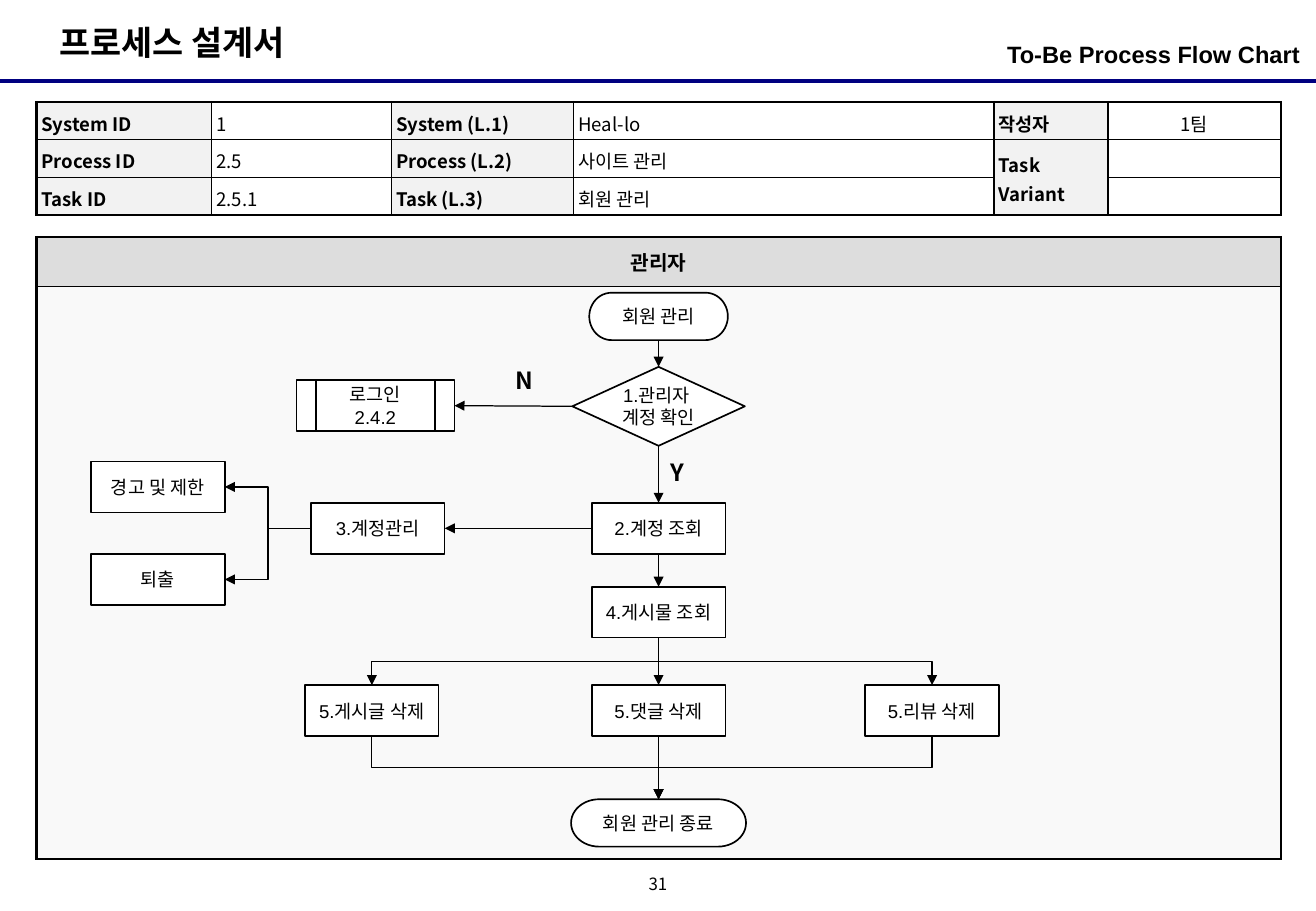
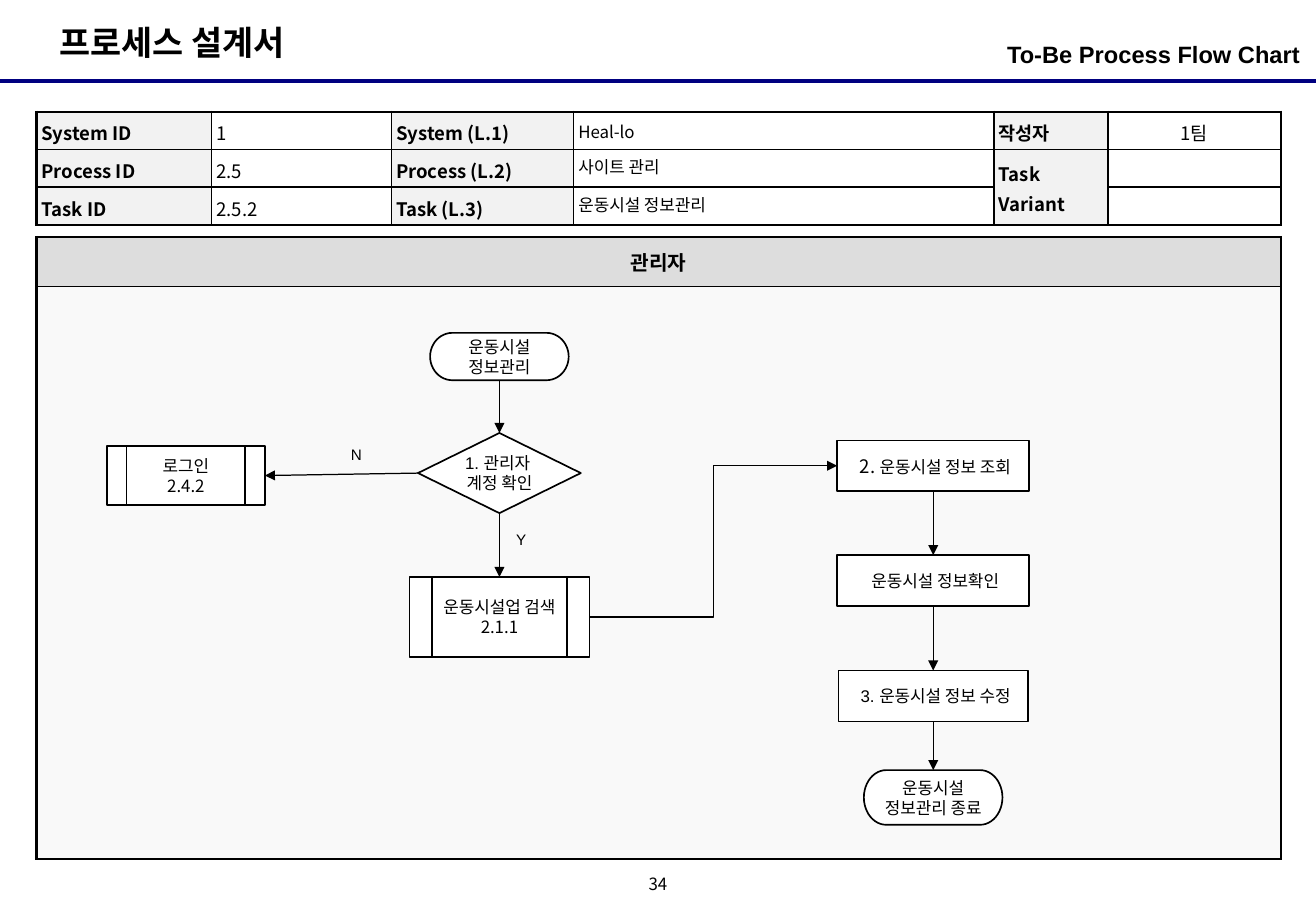
from lxml import etree
from pptx import Presentation
from pptx.dml.color import RGBColor
from pptx.enum.shapes import MSO_CONNECTOR, MSO_SHAPE
from pptx.enum.text import MSO_ANCHOR, MSO_AUTO_SIZE, PP_ALIGN
from pptx.oxml.ns import qn
from pptx.util import Inches, Pt

LEFT, CENTER, RIGHT = PP_ALIGN.LEFT, PP_ALIGN.CENTER, PP_ALIGN.RIGHT
ANCHOR_TOP, ANCHOR_MIDDLE = MSO_ANCHOR.TOP, MSO_ANCHOR.MIDDLE
STRAIGHT, ELBOW = MSO_CONNECTOR.STRAIGHT, MSO_CONNECTOR.ELBOW
TERMINAL = MSO_SHAPE.FLOWCHART_TERMINATOR
DECISION = MSO_SHAPE.FLOWCHART_DECISION
SUBPROCESS = MSO_SHAPE.FLOWCHART_PREDEFINED_PROCESS
TASK = MSO_SHAPE.RECTANGLE
TOP, WEST, BOTTOM, EAST = 0, 1, 2, 3

COLORS = {"ink": "000000", "paper": "FFFFFF", "rule": "000080",
          "label": "F2F2F2", "lane": "DDDDDD", "canvas": "F9F9F9"}
RGB = {role: RGBColor.from_string(value) for role, value in COLORS.items()}
KOREAN, LATIN = "Noto Sans CJK KR", "Arial"
COLUMNS, ROWS = 108.3, 75
MARGIN, CONTENT = 3, 102.4
INFO_COLUMNS = [14.4, 14.8, 15, 34.6, 9.4, 14.2]
INFO_ROW = 3.1
LANE_ROWS = [4.1, 47.1]


def grid(*cells):
    return [Inches(cell / 10) for cell in cells]


def write(frame, lines, size, face=KOREAN, bold=False, align=LEFT):
    for index, line in enumerate(lines):
        paragraph = frame.add_paragraph() if index else frame.paragraphs[0]
        paragraph.alignment = align
        for text, run_size in [(line, size)] if isinstance(line, str) else line:
            run = paragraph.add_run()
            run.text = text
            run.font.size = Pt(run_size)
            run.font.bold = bold
            run.font.name = face
            run.font.color.rgb = RGB["ink"]
            etree.SubElement(run.font._element, qn("a:ea"), typeface=KOREAN)


MAIN, ACCESS = 54.2, 41.1
DETAIL = 76.8
charts = [
    {
        "page": "31", "info_top": 8.4, "task": "2.5.1", "name": "회원 관리",
        "name_size": 11,
        "steps": {
            "start": (TERMINAL, MAIN, 26.05, 11.4, 3.9, ["회원 관리"], 11, LATIN),
            "end": (TERMINAL, MAIN, 67.75, 14.4, 3.9, ["회원 관리 종료"], 11, LATIN),
            "login": (SUBPROCESS, 30.9, 33.4, 13, 4.2, ["로그인", "2.4.2"], 11, LATIN),
            "check": (DECISION, MAIN, 33.45, 14.2, 6.5, ["1.관리자 ", "계정 확인"], 11, LATIN),
            "accounts": (TASK, MAIN, 43.5, 11, 4.2, ["2.계정 조회"], 11, LATIN),
            "manage": (TASK, 31.1, 43.5, 11, 4.2, ["3.계정관리"], 11, LATIN),
            "warn": (TASK, 13, 40.1, 11, 4.2, ["경고 및 제한"], 11, LATIN),
            "expel": (TASK, 13, 47.7, 11, 4.2, ["퇴출"], 11, LATIN),
            "posts": (TASK, MAIN, 50.4, 11, 4.2, ["4.게시물 조회"], 11, LATIN),
            "post": (TASK, 30.6, 58.5, 11, 4.2, ["5.게시글 삭제"], 11, LATIN),
            "comment": (TASK, MAIN, 58.5, 11, 4.2, ["5.댓글 삭제"], 11, LATIN),
            "review": (TASK, 76.7, 58.5, 11, 4.2, ["5.리뷰 삭제"], 11, LATIN),
        },
        "flows": [
            (STRAIGHT, "start", BOTTOM, "check", TOP),
            (STRAIGHT, "check", WEST, "login", EAST),
            (STRAIGHT, "check", BOTTOM, "accounts", TOP),
            (STRAIGHT, "accounts", WEST, "manage", EAST),
            (STRAIGHT, "accounts", BOTTOM, "posts", TOP),
            (STRAIGHT, "posts", BOTTOM, "comment", TOP),
            (STRAIGHT, "comment", BOTTOM, "end", TOP),
            (ELBOW, "manage", WEST, "warn", EAST),
            (ELBOW, "manage", WEST, "expel", EAST),
            (ELBOW, "posts", BOTTOM, "post", TOP),
            (ELBOW, "posts", BOTTOM, "review", TOP),
            (ELBOW, "post", BOTTOM, "end", TOP),
            (ELBOW, "review", BOTTOM, "end", TOP),
        ],
        "answers": [("N", 41.4, 29.6, 7.9, 3.4), ("Y", 54.2, 37.2, 7.9, 3.4)],
        "answer_style": (14, KOREAN, True, LEFT),
    },
    {
        "page": "34", "info_top": 9.2, "task": "2.5.2", "name": "운동시설 정보관리",
        "name_size": 10,
        "steps": {
            "start": (TERMINAL, ACCESS, 29.35, 11.4, 3.9, ["운동시설", "정보관리"], 10, KOREAN),
            "login": (SUBPROCESS, 15.3, 39.15, 13, 4.9, ["로그인", "2.4.2"], 10, KOREAN),
            "check": (DECISION, ACCESS, 38.95, 13.4, 6.6, ["1. 관리자 ", "계정 확인"], 10, LATIN),
            "search": (SUBPROCESS, ACCESS, 50.8, 14.8, 6.6, ["운동시설업 검색", "2.1.1"], 10, KOREAN),
            "view": (TASK, DETAIL, 38.35, 15.8, 4.2,
                     [[(" 2. ", 11), ("운동시설 정보 조회", 10)]], 10, KOREAN),
            "confirm": (TASK, DETAIL, 47.8, 15.8, 4.2, [" 운동시설 정보확인"], 10, KOREAN),
            "edit": (TASK, DETAIL, 57.3, 15.6, 4.2, [" 3. 운동시설 정보 수정"], 10, LATIN),
            "end": (TERMINAL, DETAIL, 65.65, 11.4, 4.5, ["운동시설", "정보관리 종료"], 10, KOREAN),
        },
        "flows": [
            (STRAIGHT, "start", BOTTOM, "check", TOP),
            (STRAIGHT, "check", WEST, "login", EAST),
            (STRAIGHT, "check", BOTTOM, "search", TOP),
            (ELBOW, "search", EAST, "view", WEST),
            (STRAIGHT, "view", BOTTOM, "confirm", TOP),
            (STRAIGHT, "confirm", BOTTOM, "edit", TOP),
            (STRAIGHT, "edit", BOTTOM, "end", TOP),
        ],
        "answers": [("N", 27.9, 36.2, 2.6, 2.5), ("Y", 41.4, 43.2, 3, 2.4)],
        "answer_style": (9, LATIN, False, CENTER),
    },
]

prs = Presentation()
prs.slide_width, prs.slide_height = grid(COLUMNS, ROWS)
title_only = prs.slide_layouts[5]

for chart in charts:
    slide = prs.slides.add_slide(title_only)
    shapes = slide.shapes

    title = shapes.title
    title.left, title.top, title.width, title.height = grid(3.9, 1.3, 22.6, 4.4)
    title.text_frame.auto_size = MSO_AUTO_SIZE.NONE
    title.text_frame.word_wrap = False
    title.text_frame.vertical_anchor = ANCHOR_TOP
    write(title.text_frame, ["프로세스 설계서"], 20, bold=True)

    rule = shapes.add_connector(STRAIGHT, *grid(0, 6.7, COLUMNS, 6.7))
    rule.line.color.rgb = RGB["rule"]
    rule.line.width = Pt(2.25)
    etree.SubElement(rule._element.spPr, qn("a:effectLst"))

    subtitle = shapes.add_textbox(*grid(73.9, 2.8, 33.1, 3.9)).text_frame
    subtitle.word_wrap = True
    subtitle.margin_left = subtitle.margin_right = 0
    subtitle.paragraphs[0].space_before = Pt(3)
    write(subtitle, ["To-Be Process Flow Chart"], 14, LATIN, True, RIGHT)

    page = shapes.add_textbox(*grid(52.5, 71.7, 3.3, 2.5)).text_frame
    page.margin_left = page.margin_right = page.margin_top = page.margin_bottom = 0
    page.vertical_anchor = ANCHOR_MIDDLE
    page.paragraphs[0].line_spacing = 0.8
    write(page, [chart["page"]], 10, align=CENTER)

    lane = shapes.add_table(2, 1, *grid(MARGIN, 19.5, CONTENT, sum(LANE_ROWS))).table
    for row, height in zip(lane.rows, grid(*LANE_ROWS)):
        row.height = height
    lane.cell(0, 0).vertical_anchor = ANCHOR_MIDDLE
    write(lane.cell(0, 0).text_frame, ["관리자"], 12, bold=True, align=CENTER)

    info = shapes.add_table(3, 6, *grid(MARGIN, chart["info_top"], CONTENT, 3 * INFO_ROW)).table
    for column, width in zip(info.columns, grid(*INFO_COLUMNS)):
        column.width = width
    info.cell(1, 4).merge(info.cell(2, 4))
    entries = [
        ["System ID", "1", "System (L.1)", "Heal-lo", "작성자", "1팀"],
        ["Process ID", "2.5", "Process (L.2)", "사이트 관리", "Task Variant", ""],
        ["Task ID", chart["task"], "Task (L.3)", chart["name"], "", ""],
    ]
    for r, entry in enumerate(entries):
        for c, text in enumerate(entry):
            cell = info.cell(r, c)
            cell.margin_left = cell.margin_right = Inches(0.04)
            cell.margin_top = cell.margin_bottom = Inches(0.04)
            cell.vertical_anchor = ANCHOR_MIDDLE if c > 3 else ANCHOR_TOP
            paragraph = cell.text_frame.paragraphs[0]
            size = chart["name_size"] if c == 3 else 11
            if size == 11 or r == 0:
                paragraph.line_spacing = 1.1
                paragraph.space_before = paragraph.space_after = Pt(1)
            if text:
                write(cell.text_frame, [text], size, bold=c % 2 == 0,
                      align=CENTER if c == 5 else LEFT)
            else:
                etree.SubElement(paragraph._p, qn("a:endParaRPr"), sz="1100")

    for table, inner in [(lane, 0.75), (info, 1)]:
        table.first_row = table.horz_banding = False
        row_count, column_count = len(table.rows), len(table.columns)
        for r in range(row_count):
            for c in range(column_count):
                cell = table.cell(r, c)
                last = r + (cell.span_height if cell.is_merge_origin else 1)
                edges = [("L", c == 0), ("R", c == column_count - 1),
                         ("T", r == 0), ("B", last == row_count)]
                for side, outer in edges:
                    border = etree.SubElement(cell._tc.get_or_add_tcPr(), qn("a:ln" + side),
                                              w=str(Pt(1.5 if outer else inner)))
                    paint = etree.SubElement(border, qn("a:solidFill"))
                    etree.SubElement(paint, qn("a:srgbClr"), val=COLORS["ink"])
                if table is lane:
                    role = "canvas" if r else "lane"
                else:
                    role = "paper" if c % 2 else "label"
                cell.fill.solid()
                cell.fill.fore_color.rgb = RGB[role]

    steps = {}
    for key, (kind, x, y, width, height, lines, size, face) in chart["steps"].items():
        step = shapes.add_shape(kind, *grid(x - width / 2, y - height / 2, width, height))
        step.shadow.inherit = False
        step.fill.solid()
        step.fill.fore_color.rgb = RGB["paper"]
        step.line.color.rgb = RGB["ink"]
        step.line.width = Pt(1)
        frame = step.text_frame
        frame.margin_left = frame.margin_right = Inches(0.02)
        frame.margin_top = frame.margin_bottom = 0
        frame.vertical_anchor = ANCHOR_MIDDLE
        frame.word_wrap = kind != DECISION
        write(frame, lines, size, face, align=CENTER)
        steps[key] = step

    for route, source, exit_side, target, entry_side in chart["flows"]:
        flow = shapes.add_connector(route, 0, 0, 0, 0)
        flow.begin_connect(steps[source], exit_side)
        flow.end_connect(steps[target], entry_side)
        flow.line.color.rgb = RGB["ink"]
        flow.line.width = Pt(0.75)
        properties = flow._element.spPr
        etree.SubElement(properties.find(qn("a:ln")), qn("a:tailEnd"), type="triangle")
        etree.SubElement(properties, qn("a:effectLst"))
        if route == ELBOW and exit_side == BOTTOM:
            shift, drop = flow.end_x - flow.begin_x, flow.end_y - flow.begin_y
            middle_x = (flow.begin_x + flow.end_x) // 2
            middle_y = (flow.begin_y + flow.end_y) // 2
            flow.left, flow.top = middle_x - drop // 2, middle_y - abs(shift) // 2
            flow.width, flow.height = drop, abs(shift)
            frame = properties.find(qn("a:xfrm"))
            frame.set("rot", "16200000" if shift > 0 else "5400000")
            frame.set("flipH", "1" if shift > 0 else "0")
            frame.set("flipV", "0")

    for text, *place in chart["answers"]:
        answer = shapes.add_textbox(*grid(*place)).text_frame
        answer.word_wrap = True
        answer.vertical_anchor = ANCHOR_MIDDLE
        write(answer, [text], *chart["answer_style"])

prs.save("out.pptx")
